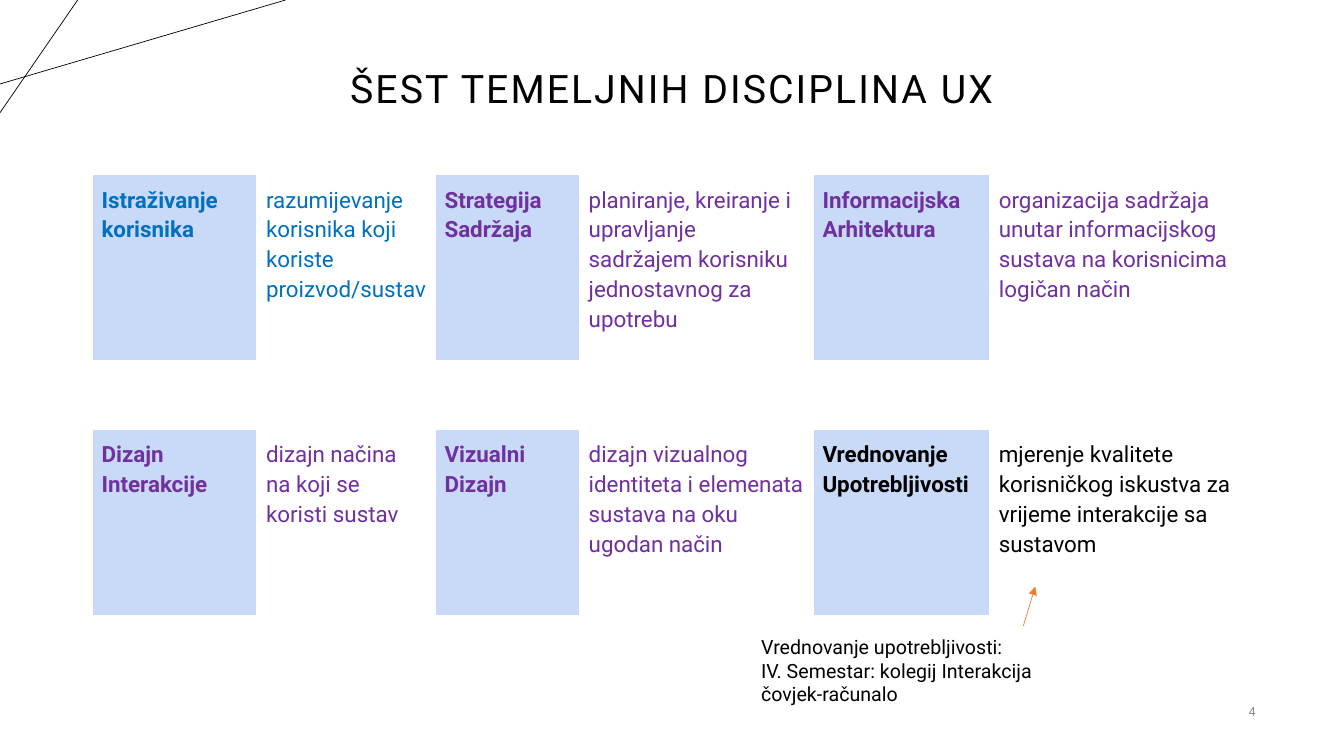
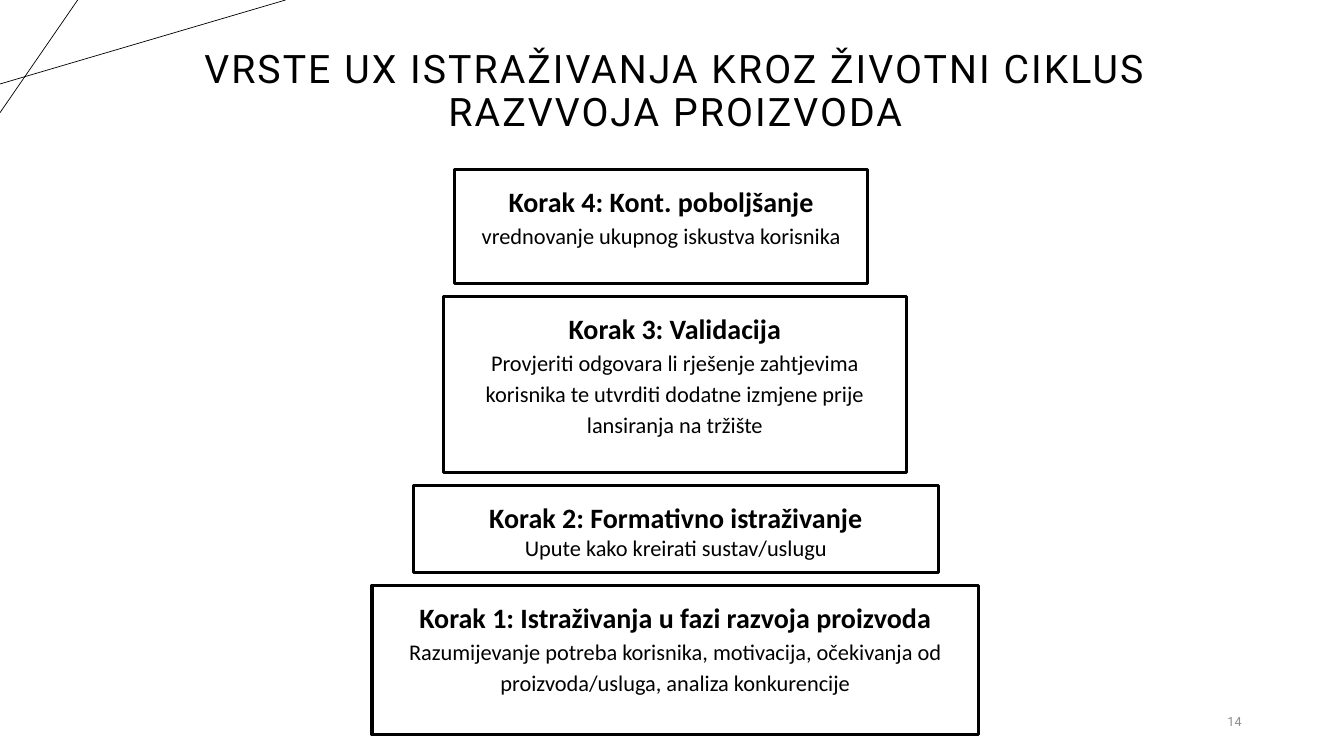
from collections import namedtuple

from lxml.etree import SubElement
from pptx import Presentation
from pptx.dml.color import RGBColor
from pptx.enum.shapes import MSO_CONNECTOR, MSO_SHAPE
from pptx.enum.text import MSO_ANCHOR as Anchor, PP_ALIGN as Align
from pptx.oxml.ns import qn
from pptx.util import Pt

Box = namedtuple("Box", "left top width height")
Discipline = namedtuple("Discipline", "name description colour")
Step = namedtuple("Step", "heading detail left width height detail_spacing")

BLACK, GREY, ORANGE = "000000", "8C8C8C", "ED7D31"
BLUE, PURPLE, PALE_BLUE = "0070C0", "7030A0", "C9DAF8"
FONT, STEP_FONT = "Roboto", "Calibri"
CORNER_LINES = [((0, 60), (204, 0)), ((55.5, 0), (0, 80.5))]

COLUMN_WIDTHS = [117.5, 127.5, 103, 167, 126, 188]
ROW_HEIGHTS = [133, 49, 133]
CELL_MARGIN = 6.6
DISCIPLINE_ROWS = {
    0: [
        Discipline("Istraživanje korisnika",
                   "razumijevanje korisnika koji koriste proizvod/sustav", BLUE),
        Discipline("Strategija Sadržaja",
                   "planiranje, kreiranje i upravljanje sadržajem korisniku "
                   "jednostavnog za upotrebu", PURPLE),
        Discipline("Informacijska Arhitektura",
                   "organizacija sadržaja unutar informacijskog sustava na "
                   "korisnicima logičan način", PURPLE),
    ],
    2: [
        Discipline("Dizajn\nInterakcije",
                   "dizajn načina na koji se koristi sustav", PURPLE),
        Discipline("Vizualni\nDizajn",
                   "dizajn vizualnog identiteta i elemenata sustava na oku "
                   "ugodan način", PURPLE),
        Discipline("Vrednovanje Upotrebljivosti",
                   "mjerenje kvalitete korisničkog iskustva za vrijeme "
                   "interakcije sa sustavom", BLACK),
    ],
}
NOTE_LINES = ["Vrednovanje upotrebljivosti:",
              "IV. Semestar: kolegij Interakcija čovjek-računalo"]

STEP_GAP = 9.3
STEPS = [
    Step("Korak 4: Kont. poboljšanje",
         "vrednovanje ukupnog iskustva korisnika", 59, 295.2, 81.4, 1.15),
    Step("Korak 3: Validacija",
         "Provjeriti odgovara li rješenje zahtjevima korisnika te utvrditi "
         "dodatne izmjene prije lansiranja na tržište", 51.1, 330.5, 126, 1.15),
    Step("Korak 2: Formativno istraživanje",
         "Upute kako kreirati sustav/uslugu", 29.5, 375.1, 61.9, 1),
    Step("Korak 1: Istraživanja u fazi razvoja proizvoda",
         "Razumijevanje potreba korisnika, motivacija, očekivanja od "
         "proizvoda/usluga, analiza konkurencije", 0, 433.4, 106.6, 1.15),
]


def rgb(colour):
    return RGBColor.from_string(colour)


def points(*lengths):
    return [Pt(length) for length in lengths]


def style(paragraph, size, colour=BLACK, font=FONT, bold=False,
          align=Align.LEFT, spacing=1):
    paragraph.font.size = Pt(size)
    paragraph.font.name = font
    paragraph.font.bold = bold
    paragraph.font.color.rgb = rgb(colour)
    paragraph.alignment = align
    paragraph.line_spacing = spacing


def add_text(slide, box, lines, size, anchor=Anchor.TOP, **options):
    """Add a wrapping text box with one paragraph per line."""
    frame = slide.shapes.add_textbox(*points(*box)).text_frame
    frame.word_wrap = True
    frame.vertical_anchor = anchor
    frame.text = "\n".join(lines)
    for paragraph in frame.paragraphs:
        style(paragraph, size, **options)
    return frame


def add_line(slide, start, end, colour=BLACK, arrow=False):
    connector = slide.shapes.add_connector(
        MSO_CONNECTOR.STRAIGHT, *points(*start, *end))
    connector.line.color.rgb = rgb(colour)
    connector.line.width = Pt(0.5)
    if arrow:
        SubElement(connector.line._get_or_add_ln(), qn("a:tailEnd"), type="triangle")
    SubElement(connector._element.spPr, qn("a:effectLst"))


def add_base_slide(presentation, title, title_box, number, number_box):
    """Add a slide with the shared corner lines, title and page number."""
    slide = presentation.slides.add_slide(presentation.slide_layouts[6])
    for start, end in CORNER_LINES:
        add_line(slide, start, end)
    frame = add_text(slide, title_box, [title], 28, Anchor.MIDDLE,
                     align=Align.CENTER, spacing=0.9)
    frame.paragraphs[0].runs[0]._r.get_or_add_rPr().set("spc", "150")
    add_text(slide, number_box, [str(number)], 9, Anchor.MIDDLE,
             colour=GREY, align=Align.RIGHT)
    return slide


def fill_cell(cell, text, colour, bold):
    cell.text = text
    cell.margin_left = cell.margin_right = Pt(CELL_MARGIN)
    cell.margin_top = cell.margin_bottom = Pt(CELL_MARGIN)
    for paragraph in cell.text_frame.paragraphs:
        style(paragraph, 16, colour, bold=bold, spacing=1.15)


def add_discipline_table(slide, left, top):
    box = Box(left, top, sum(COLUMN_WIDTHS), sum(ROW_HEIGHTS))
    table = slide.shapes.add_table(
        len(ROW_HEIGHTS), len(COLUMN_WIDTHS), *points(*box)).table
    table.first_row = table.horz_banding = False
    for column, width in zip(table.columns, COLUMN_WIDTHS):
        column.width = Pt(width)
    for row, height in zip(table.rows, ROW_HEIGHTS):
        row.height = Pt(height)
    for cell in table.iter_cells():
        cell.fill.background()
    for row, disciplines in DISCIPLINE_ROWS.items():
        for index, discipline in enumerate(disciplines):
            name_cell = table.cell(row, 2 * index)
            name_cell.fill.solid()
            name_cell.fill.fore_color.rgb = rgb(PALE_BLUE)
            fill_cell(name_cell, discipline.name, discipline.colour, True)
            fill_cell(table.cell(row, 2 * index + 1), discipline.description,
                      discipline.colour, False)


def add_course_note(slide, box):
    """Add the note and the arrow that rises from it to the table."""
    add_line(slide, (box.left + 194.5, box.top - 3),
             (box.left + 203, box.top - 31), ORANGE, arrow=True)
    add_text(slide, box, NOTE_LINES, 14)


def add_step(slide, box, step):
    shape = slide.shapes.add_shape(MSO_SHAPE.RECTANGLE, *points(*box))
    shape.shadow.inherit = False
    shape.fill.background()
    shape.line.color.rgb = rgb(BLACK)
    shape.line.width = Pt(2.25)
    frame = shape.text_frame
    frame.word_wrap = True
    frame.vertical_anchor = Anchor.TOP
    frame.margin_left = frame.margin_right = Pt(7.2)
    frame.margin_top = frame.margin_bottom = Pt(7.2)
    frame.text = f"{step.heading}\n{step.detail}"
    heading, detail = frame.paragraphs
    style(heading, 20, font=STEP_FONT, bold=True, align=Align.CENTER, spacing=1.15)
    style(detail, 16, font=STEP_FONT, align=Align.CENTER, spacing=step.detail_spacing)


def add_step_pyramid(slide, left, top):
    for step in STEPS:
        add_step(slide, Box(left + step.left, top, step.width, step.height), step)
        top += step.height + STEP_GAP


def add_disciplines_slide(presentation):
    slide = add_base_slide(
        presentation, "ŠEST TEMELJNIH DISCIPLINA UX", Box(66, 29, 828, 71),
        4, Box(688, 494, 216, 29))
    add_discipline_table(slide, 66, 124.5)
    add_course_note(slide, Box(536.5, 450, 253.5, 58))


def add_research_slide(presentation):
    slide = add_base_slide(
        presentation,
        "VRSTE UX ISTRAŽIVANJA KROZ ŽIVOTNI CIKLUS RAZVVOJA PROIZVODA",
        Box(70.5, 29, 824, 74), 14, Box(678, 500.5, 216, 29))
    add_step_pyramid(slide, 265.7, 121)


def main():
    presentation = Presentation()
    presentation.slide_width, presentation.slide_height = points(960, 540)
    add_disciplines_slide(presentation)
    add_research_slide(presentation)
    presentation.save("out.pptx")


if __name__ == "__main__":
    main()
